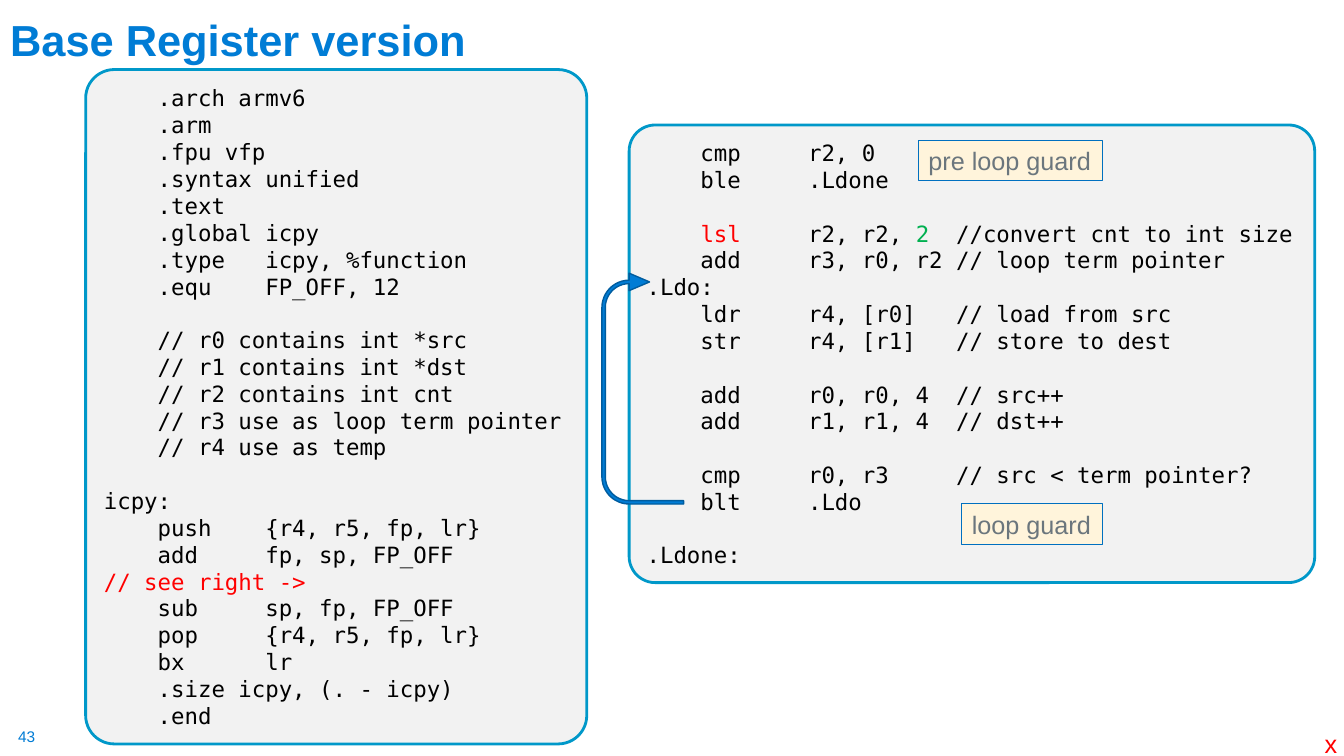
from dataclasses import dataclass
from pptx import Presentation
from pptx.dml.color import RGBColor
from pptx.enum.shapes import MSO_SHAPE
from pptx.enum.text import MSO_ANCHOR, PP_ALIGN
from pptx.util import Inches, Pt


@dataclass(frozen=True)
class Theme:
    sans: str = "Arial"
    mono: str = "DejaVu Sans Mono"
    blue: str = "007CD5"
    arrow_edge: str = "005C9E"
    panel_fill: str = "F2F2F2"
    panel_edge: str = "0098C9"
    label_fill: str = "FFF4DB"
    label_edge: str = "0070C0"
    label_text: str = "6B767D"
    black: str = "000000"
    red: str = "FF0000"
    green: str = "00B050"
    title_size: float = 31
    code_size: float = 16
    code_line: float = 19
    label_size: float = 18
    number_size: float = 11


THEME = Theme()

SETUP_CODE = """\
    .arch armv6
    .arm
    .fpu vfp
    .syntax unified
    .text
    .global icpy
    .type   icpy, %function
    .equ    FP_OFF, 12

    // r0 contains int *src
    // r1 contains int *dst
    // r2 contains int cnt
    // r3 use as loop term pointer
    // r4 use as temp

icpy:
    push    {r4, r5, fp, lr}
    add     fp, sp, FP_OFF
// see right ->
    sub     sp, fp, FP_OFF
    pop     {r4, r5, fp, lr}
    bx      lr
    .size icpy, (. - icpy)
    .end"""

LOOP_CODE = """\
    cmp     r2, 0
    ble     .Ldone

    lsl     r2, r2, 2  //convert cnt to int size
    add     r3, r0, r2 // loop term pointer
.Ldo:
    ldr     r4, [r0]   // load from src
    str     r4, [r1]   // store to dest

    add     r0, r0, 4  // src++
    add     r1, r1, 4  // dst++

    cmp     r0, r3     // src < term pointer?
    blt     .Ldo

.Ldone:"""

HIGHLIGHTS = {
    "// see right ->": [("// see right ->", THEME.red)],
    "    lsl     r2, r2, 2  //convert cnt to int size": [
        ("    ", THEME.black),
        ("lsl", THEME.red),
        ("     r2, r2, ", THEME.black),
        ("2", THEME.green),
        ("  //convert cnt to int size", THEME.black),
    ],
}


def apply_format(target, values):
    for name, value in values.items():
        setattr(target, name, value)


def add_span(para, text, font, size, color, bold=False):
    span = para.add_run()
    span.text = text
    apply_format(span.font, {"name": font, "size": Pt(size), "bold": bold})
    span.font.color.rgb = RGBColor.from_string(color)


def add_box(page, kind, place, fill, edge, edge_width):
    box = page.shapes.add_shape(kind, *map(Inches, place))
    box.shadow.inherit = False
    box.fill.solid()
    box.fill.fore_color.rgb = RGBColor.from_string(fill)
    box.line.color.rgb = RGBColor.from_string(edge)
    box.line.width = Pt(edge_width)
    return box


def add_code_panel(page, place, code):
    box = add_box(page, MSO_SHAPE.ROUNDED_RECTANGLE, place, THEME.panel_fill, THEME.panel_edge, 2)
    box.adjustments[0] = 0.057
    frame = box.text_frame
    apply_format(frame, {"word_wrap": True, "vertical_anchor": MSO_ANCHOR.MIDDLE})
    para = None
    for block in code.split("\n\n"):
        for index, line in enumerate(block.split("\n")):
            gap = THEME.code_line if para is not None and index == 0 else 0
            para = frame.paragraphs[0] if para is None else frame.add_paragraph()
            apply_format(para, {"alignment": PP_ALIGN.LEFT, "space_before": Pt(gap)})
            for text, color in HIGHLIGHTS.get(line, [(line, THEME.black)]):
                add_span(para, text, THEME.mono, THEME.code_size, color)


def add_label(page, place, text):
    box = add_box(page, MSO_SHAPE.RECTANGLE, place, THEME.label_fill, THEME.label_edge, 0.75)
    apply_format(box.text_frame, {"word_wrap": False, "vertical_anchor": MSO_ANCHOR.MIDDLE})
    para = box.text_frame.paragraphs[0]
    para.alignment = PP_ALIGN.LEFT
    add_span(para, text, THEME.sans, THEME.label_size, THEME.label_text)


def add_note(page, place, text, size, color, inset_x, inset_y):
    box = page.shapes.add_textbox(*map(Inches, place))
    apply_format(box.text_frame, {
        "word_wrap": False,
        "margin_left": Inches(inset_x), "margin_right": Inches(inset_x),
        "margin_top": Inches(inset_y), "margin_bottom": Inches(inset_y),
    })
    add_span(box.text_frame.paragraphs[0], text, THEME.sans, size, color)


def add_loop_arrow(page, place):
    arrow = add_box(page, MSO_SHAPE.U_TURN_ARROW, place, THEME.blue, THEME.arrow_edge, 1)
    arrow.rotation = 270
    for index, value in enumerate((0.042, 0.107, 0.25, 0.438, 0.583)):
        arrow.adjustments[index] = value


def set_title(page, place, text):
    title = page.shapes.title
    apply_format(title, dict(zip(("left", "top", "width", "height"), map(Inches, place))))
    apply_format(title.text_frame, {"word_wrap": True, "vertical_anchor": MSO_ANCHOR.BOTTOM})
    para = title.text_frame.paragraphs[0]
    apply_format(para, {"alignment": PP_ALIGN.LEFT, "line_spacing": 0.9, "space_before": Pt(0)})
    add_span(para, text, THEME.sans, THEME.title_size, THEME.blue, bold=True)


def main():
    deck = Presentation()
    apply_format(deck, {"slide_width": Inches(13.33), "slide_height": Inches(7.5)})
    page = deck.slides.add_slide(deck.slide_layouts[5])
    set_title(page, (0, -0.08, 7.43, 0.78), "Base Register version")
    add_note(page, (0.18, 7.21, 0.19, 0.19), "43", THEME.number_size, THEME.blue, 0, 0)
    add_code_panel(page, (6.24, 1.24, 6.8, 4.54), LOOP_CODE)
    add_code_panel(page, (0.85, 0.69, 4.97, 6.69), SETUP_CODE)
    add_note(page, (13.04, 7.18, 0.33, 0.4), "x", THEME.label_size, THEME.red, 0.1, 0.05)
    add_loop_arrow(page, (5.23, 3.45, 2.29, 0.81))
    add_label(page, (9.54, 5, 1.39, 0.4), "loop guard")
    add_label(page, (9.11, 1.39, 1.83, 0.4), "pre loop guard")
    deck.save("out.pptx")


if __name__ == "__main__":
    main()
